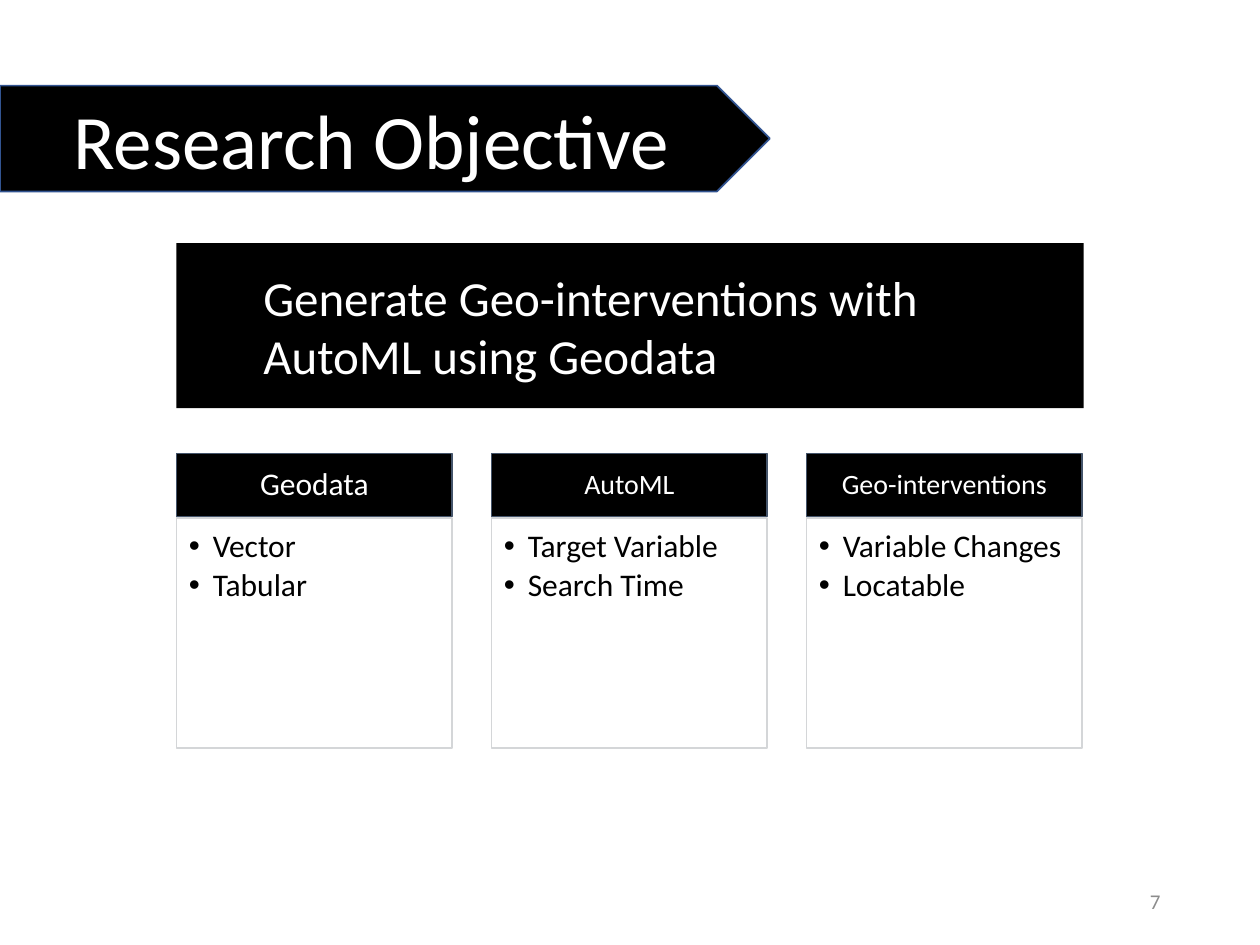
from lxml.etree import SubElement
from pptx import Presentation
from pptx.dml.color import RGBColor
from pptx.enum.shapes import MSO_SHAPE as Shape
from pptx.enum.text import MSO_ANCHOR as Anchor, MSO_AUTO_SIZE as AutoSize, PP_ALIGN as Align
from pptx.oxml.ns import qn
from pptx.util import Inches, Pt

COLORS = {
    "black": "000000",
    "white": "FFFFFF",
    "title_line": "325491",
    "header_line": "44546A",
    "card_line": "D4D6D8",
    "page_number": "8C8C8C",
}
FONT = "Calibri"
BULLET_INDENT = 0.19
CARDS = [
    ("Geodata", 18, ["Vector", "Tabular"]),
    ("AutoML", 16, ["Target Variable", "Search Time"]),
    ("Geo-interventions", 16, ["Variable Changes", "Locatable"]),
]
CARD_LEFT, CARD_STEP, CARD_WIDTH = 1.4, 2.5, 2.19
HEADER_TOP, HEADER_HEIGHT, LIST_HEIGHT = 3.6, 0.5, 1.83


def color(name):
    return RGBColor.from_string(COLORS[name])


def add_bullet(paragraph):
    properties = paragraph._p.get_or_add_pPr()
    properties.set("marL", str(Inches(BULLET_INDENT)))
    properties.set("indent", str(-Inches(BULLET_INDENT)))
    SubElement(properties, qn("a:buFont"), typeface="Arial")
    SubElement(properties, qn("a:buChar"), char="•")


def write_text(shape, *lines, size=18, fill="white", align=Align.LEFT, anchor=Anchor.MIDDLE,
               margins=(0.1, 0.05, 0.1, 0.05), line_spacing=1.0, space_after=0, bullets=False):
    """Write one paragraph per line; margins run left, top, right, bottom in inches."""
    frame = shape.text_frame
    frame.word_wrap = True
    frame.auto_size = AutoSize.NONE
    frame.vertical_anchor = anchor
    (frame.margin_left, frame.margin_top,
     frame.margin_right, frame.margin_bottom) = map(Inches, margins)
    for index, line in enumerate(lines):
        paragraph = frame.add_paragraph() if index else frame.paragraphs[0]
        paragraph.alignment = align
        paragraph.line_spacing = line_spacing
        paragraph.space_before = Pt(0)
        paragraph.space_after = Pt(space_after)
        if bullets:
            add_bullet(paragraph)
        run = paragraph.add_run()
        run.text = line
        run.font.name = FONT
        run.font.size = Pt(size)
        run.font.color.rgb = color(fill)


class SlideBuilder:
    def __init__(self, presentation):
        self.slide = presentation.slides.add_slide(presentation.slide_layouts[5])

    def box(self, left, top, width, height, fill="black", line=None, kind=Shape.RECTANGLE):
        shape = self.slide.shapes.add_shape(kind, *map(Inches, (left, top, width, height)))
        shape.shadow.inherit = False
        shape.fill.solid()
        shape.fill.fore_color.rgb = color(fill)
        if line:
            shape.line.color.rgb = color(line)
            shape.line.width = Pt(1)
        else:
            shape.line.fill.background()
        return shape

    def title(self, text):
        """Lay the title placeholder over an arrow-shaped banner."""
        title = self.slide.shapes.title
        banner = self.box(0, 0.68, 6.11, 0.84, line="title_line", kind=Shape.PENTAGON)
        title._element.addprevious(banner._element)
        title.left, title.top, title.width, title.height = map(Inches, (0, 0.68, 5.9, 0.84))
        write_text(title, text, size=44, align=Align.CENTER)

    def statement(self, text):
        shape = self.box(1.4, 1.93, 7.2, 1.31)
        write_text(shape, text, size=28, anchor=Anchor.TOP, margins=(0.69, 0.19, 0.1, 0.05))

    def card(self, left, heading, heading_size, items):
        header = self.box(left, HEADER_TOP, CARD_WIDTH, HEADER_HEIGHT, line="header_line")
        write_text(header, heading, size=heading_size, align=Align.CENTER,
                   margins=(0.12, 0.07, 0.12, 0.07), line_spacing=0.9)
        body = self.box(left, HEADER_TOP + HEADER_HEIGHT + 0.01, CARD_WIDTH, LIST_HEIGHT,
                        fill="white", line="card_line")
        write_text(body, *items, fill="black", anchor=Anchor.TOP,
                   margins=(0.1, 0.1, 0.14, 0.16), line_spacing=0.9,
                   space_after=2.7, bullets=True)

    def page_number(self, text):
        box = self.slide.shapes.add_textbox(*map(Inches, (7.06, 6.95, 2.25, 0.4)))
        write_text(box, text, size=12, fill="page_number", align=Align.RIGHT)


def main():
    presentation = Presentation()
    presentation.slide_width, presentation.slide_height = Inches(10), Inches(7.5)
    builder = SlideBuilder(presentation)
    builder.title("Research Objective")
    builder.statement("Generate Geo-interventions with AutoML using Geodata")
    for column, card in enumerate(CARDS):
        builder.card(CARD_LEFT + column * CARD_STEP, *card)
    builder.page_number("7")
    presentation.save("out.pptx")


if __name__ == "__main__":
    main()
